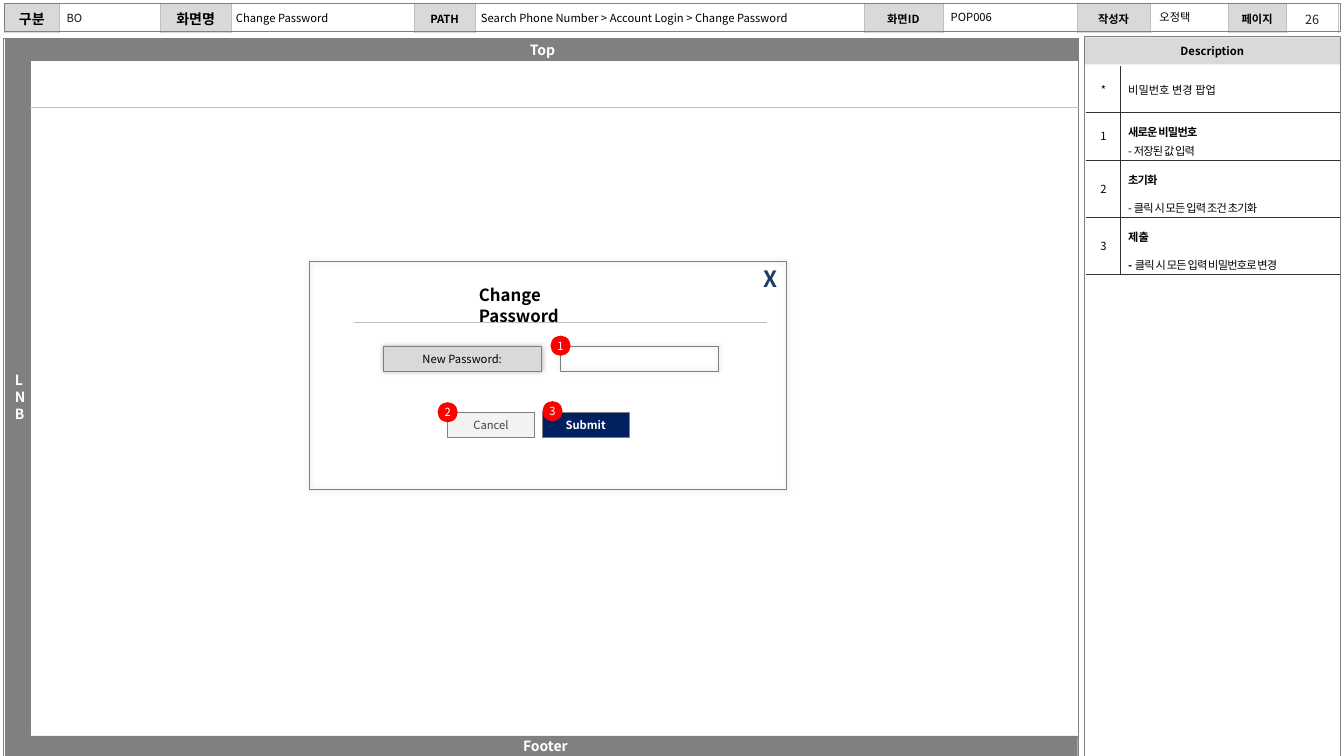
from lxml import etree
from pptx import Presentation
from pptx.dml.color import RGBColor
from pptx.enum.shapes import MSO_CONNECTOR, MSO_SHAPE
from pptx.enum.text import MSO_ANCHOR, MSO_AUTO_SIZE, PP_ALIGN
from pptx.oxml.ns import qn
from pptx.util import Pt

RECT, OVAL = MSO_SHAPE.RECTANGLE, MSO_SHAPE.OVAL
LEFT, MID, RIGHT = PP_ALIGN.LEFT, PP_ALIGN.CENTER, PP_ALIGN.RIGHT
TOP, HALF = MSO_ANCHOR.TOP, MSO_ANCHOR.MIDDLE
GROW = MSO_AUTO_SIZE.SHAPE_TO_FIT_TEXT
STRAIGHT = MSO_CONNECTOR.STRAIGHT
PX = 9144  # 100 px to the inch
FACE = "Noto Sans CJK KR"

HUES = {
    "white": "FFFFFF", "black": "000000", "gray": "808080", "pale": "D9D9D9",
    "mist": "F2F2F2", "rule": "BFBFBF", "ink": "313131", "soft": "111111",
    "dim": "262626", "text": "404040", "navy": "002060", "blue": "1C3D62",
    "red": "FF0000",
}

# Text styles: size, hue, bold, align, anchor, insets (left, top, right, bottom)
STYLES = {
    "bar": (10, "white", True, MID, HALF, (10, 5, 10, 5)),
    "side": (10, "white", True, LEFT, HALF, (10, 5, 4, 5)),
    "head": (8, "black", True, MID, HALF, (0, 0, 0, 0)),
    "big": (10, "black", True, MID, HALF, (12, 5, 12, 5)),
    "small": (8, "black", True, MID, HALF, (12, 5, 12, 5)),
    "page": (9, "dim", False, MID, HALF, (10, 5, 10, 5)),
    "value": (8, "black", False, LEFT, TOP, (5, 5, 5, 5)),
    "code": (8, "soft", False, LEFT, TOP, (5, 5, 5, 5)),
    "title": (12, "black", True, LEFT, TOP, (5, 5, 40, 5)),
    "close": (16, "blue", True, RIGHT, TOP, (10, 5, 10, 5)),
    "label": (8, "black", False, MID, HALF, (10, 5, 10, 5)),
    "submit": (8, "white", True, MID, HALF, (0, 4, 0, 4)),
    "cancel": (8, "text", False, MID, HALF, (0, 4, 0, 4)),
    "badge": (8, "white", False, MID, HALF, (0, 5, 0, 5)),
    "mark": (8, "black", False, MID, HALF, (8, 8, 8, 8)),
    "note": (8, "black", False, LEFT, HALF, (8, 8, 8, 8)),
}

# Frame: box, fill, line, line width, text, style
BACK = [
    ((3, 38, 1067, 712), "white", "gray", 0.5, "", ""),
    ((1076, 37, 253, 27), "pale", None, 0, "Description", "head"),
]
FRAME = [
    ((4, 3, 1325, 28), None, "gray", 0.5, "", ""),
    ((1076, 36, 253, 714), None, "gray", 0.5, "", ""),
    ((5, 38, 25, 712), "gray", "gray", 0.25, "LNB", "side"),
    ((13, 730, 1056, 20), "gray", "gray", 0.25, "Footer", "bar"),
    ((7, 38, 1062, 22), "gray", "gray", 0.25, "Top", "bar"),
]
POPUP = [
    ((556, 344, 157, 24), None, "gray", 0.5, "", ""),
    ((307, 259, 473, 227), None, "gray", 0.5, "", ""),
    ((380, 344, 157, 24), "pale", "gray", 0.5, "New Password:", "label"),
]
BUTTONS = [
    ((538, 409, 86, 25), "navy", "gray", 0.5, "Submit", "submit"),
    ((444, 409, 86, 25), "mist", "gray", 0.5, "Cancel", "cancel"),
]
BADGES = [("1", 546, 333), ("2", 434, 399), ("3", 538, 398)]
RULES = [(30, 1070, 106), (351, 761, 320)]
TEXTS = [
    ((1278, 5, 47, 28), "26", "page"),
    ((472, 6, 385, 24), "Search Phone Number > Account Login > Change Password", "value"),
    ((470, 278, 152, 30), "Change Password", "title"),
    ((229, 6, 181, 24), "Change Password", "value"),
    ((61, 6, 95, 24), "BO", "code"),
    ((1145, 5, 73, 24), "오정택", "value"),
    ((716, 258, 65, 37), "X", "close"),
    ((938, 5, 73, 23), "POP006", "value"),
]

# Tables
HEADS = ["구분", "화면명", "PATH", "화면ID", "작성자", "페이지"]
SPANS = [55, 100, 70, 182, 60, 386, 78, 133, 73, 77, 58, 51]
TIGHT = -60
# Notes: mark, height, space after, paragraphs of (text, bold, tracking) runs
NOTES = [
    ("*", 45, 0, [[("비밀번호 변경 팝업", False, 0)]]),
    ("1", 47, 0, [[("새로운 비밀번호", True, TIGHT)], [("- 저장된 값 입력", False, TIGHT)]]),
    ("2", 57, 6, [[("초기화", True, TIGHT)],
                  [("- 클릭 시 모든 입력 조건 초기화", False, TIGHT)]]),
    ("3", 55, 6, [[("제출", True, 0)],
                  [("-", True, TIGHT), (" 클릭 시 모든 입력 비밀번호로 변경", False, TIGHT)]]),
]


def tint(hue):
    return RGBColor.from_string(HUES[hue])


def paint(fill, hue):
    if hue:
        fill.solid()
        fill.fore_color.rgb = tint(hue)
    else:
        fill.background()


def write(frame, holder, paras, style, look=None):
    """Fill a frame; holder carries the insets (a frame or a table cell)."""
    size, hue, bold, align, anchor, pads = STYLES[style]
    for side, pad in zip(("left", "top", "right", "bottom"), pads):
        setattr(holder, "margin_" + side, pad * PX)
    holder.vertical_anchor = anchor
    for i, runs in enumerate(paras):
        para = frame.add_paragraph() if i else frame.paragraphs[0]
        for name, val in {"alignment": align, **(look or {})}.items():
            setattr(para, name, val)
        for text, heavy, track in runs:
            run = para.add_run()
            run.text = text
            form = {"name": FACE, "size": Pt(size), "bold": bold or heavy}
            for name, val in form.items():
                setattr(run.font, name, val)
            run.font.color.rgb = tint(hue)
            props = run._r.get_or_add_rPr()
            etree.SubElement(props, qn("a:ea"), typeface=FACE)
            if track:
                props.set("spc", str(track))


def draw(kind, box, fill, line, width, text, style, glow=False):
    shape = shapes.add_shape(kind, *(n * PX for n in box))
    shape.shadow.inherit = False
    paint(shape.fill, fill)
    paint(shape.line.fill, line)
    if line:
        shape.line.width = Pt(width)
    if glow:
        halo = etree.SubElement(shape._element.spPr.find(qn("a:effectLst")),
                                qn("a:outerShdw"), blurRad=str(Pt(4)), dist="0", dir="0")
        color = etree.SubElement(halo, qn("a:srgbClr"), val=HUES["black"])
        etree.SubElement(color, qn("a:alpha"), val="30000")
    if text:
        shape.text_frame.word_wrap = style != "label"
        write(shape.text_frame, shape.text_frame, [[(text, False, 0)]], style)


def edge(cell, sides):
    """Set borders from (hue, points) in the order left, right, top, bottom."""
    props = cell._tc.get_or_add_tcPr()
    for i, (tag, (hue, width)) in enumerate(zip("LRTB", sides)):
        line = etree.Element(qn("a:ln" + tag), w=str(Pt(width)))
        fill = etree.SubElement(line, qn("a:solidFill"))
        etree.SubElement(fill, qn("a:srgbClr"), val=HUES[hue])
        props.insert(i, line)


def grid(left, top, cols, rows):
    box = (left, top, sum(cols), sum(rows))
    table = shapes.add_table(len(rows), len(cols), *(n * PX for n in box)).table
    table.first_row = table.horz_banding = False
    for col, n in zip(table.columns, cols):
        col.width = n * PX
    for row, n in zip(table.rows, rows):
        row.height = n * PX
    return table


deck = Presentation()
deck.slide_width, deck.slide_height = 1333 * PX, 750 * PX
shapes = deck.slides.add_slide(deck.slide_layouts[6]).shapes

# Page frame and header table
for part in BACK:
    draw(RECT, *part)
table = grid(4, 3, SPANS, [28])
for i in range(len(SPANS)):
    cell = table.cell(0, i)
    paint(cell.fill, "white" if i % 2 else "pale")
    if i % 2:
        end = cell.text_frame.paragraphs[0]._p
        etree.SubElement(end, qn("a:endParaRPr"), sz="800")
    else:
        write(cell.text_frame, cell, [[(HEADS[i // 2], False, 0)]], "big" if i < 4 else "small")
    edge(cell, [("rule", 0.25)] * 2 + [("white", 0.25)] * 2)
for part in FRAME:
    draw(RECT, *part)

# Popup
for part in POPUP:
    draw(RECT, *part, glow=True)
for part in BUTTONS:
    draw(RECT, *part)
for x, end, y in RULES:
    rule = shapes.add_connector(STRAIGHT, x * PX, y * PX, end * PX, y * PX)
    rule.line.color.rgb = tint("rule")
    rule.line.width = Pt(0.25)
    etree.SubElement(rule._element.spPr, qn("a:effectLst"))
for box, text, style in TEXTS:
    frame = shapes.add_textbox(*(n * PX for n in box)).text_frame
    frame.word_wrap = True
    if style != "page":
        frame.auto_size = GROW
    write(frame, frame, [[(text, False, 0)]], style)

# Description table
table = grid(1078, 66, [33, 217], [note[1] for note in NOTES])
for i, (mark, _, after, paras) in enumerate(NOTES):
    pair = table.cell(i, 0), table.cell(i, 1)
    write(pair[0].text_frame, pair[0], [[(mark, False, 0)]], "mark", {"space_after": Pt(6)})
    look = {"line_spacing": 1.2, "space_after": Pt(after)} if i else {}
    write(pair[1].text_frame, pair[1], paras, "note", look)
    ink, bare = ("ink", 0.25), ("white", 1)
    over = ink if i else bare
    for cell, sides in zip(pair, ((bare, ink), (ink, bare))):
        paint(cell.fill, "white")
        edge(cell, [*sides, over, ink])

# Numbered badges
for text, x, y in BADGES:
    draw(OVAL, (x, y, 20, 20), "red", None, 0, text, "badge")

deck.save("out.pptx")
